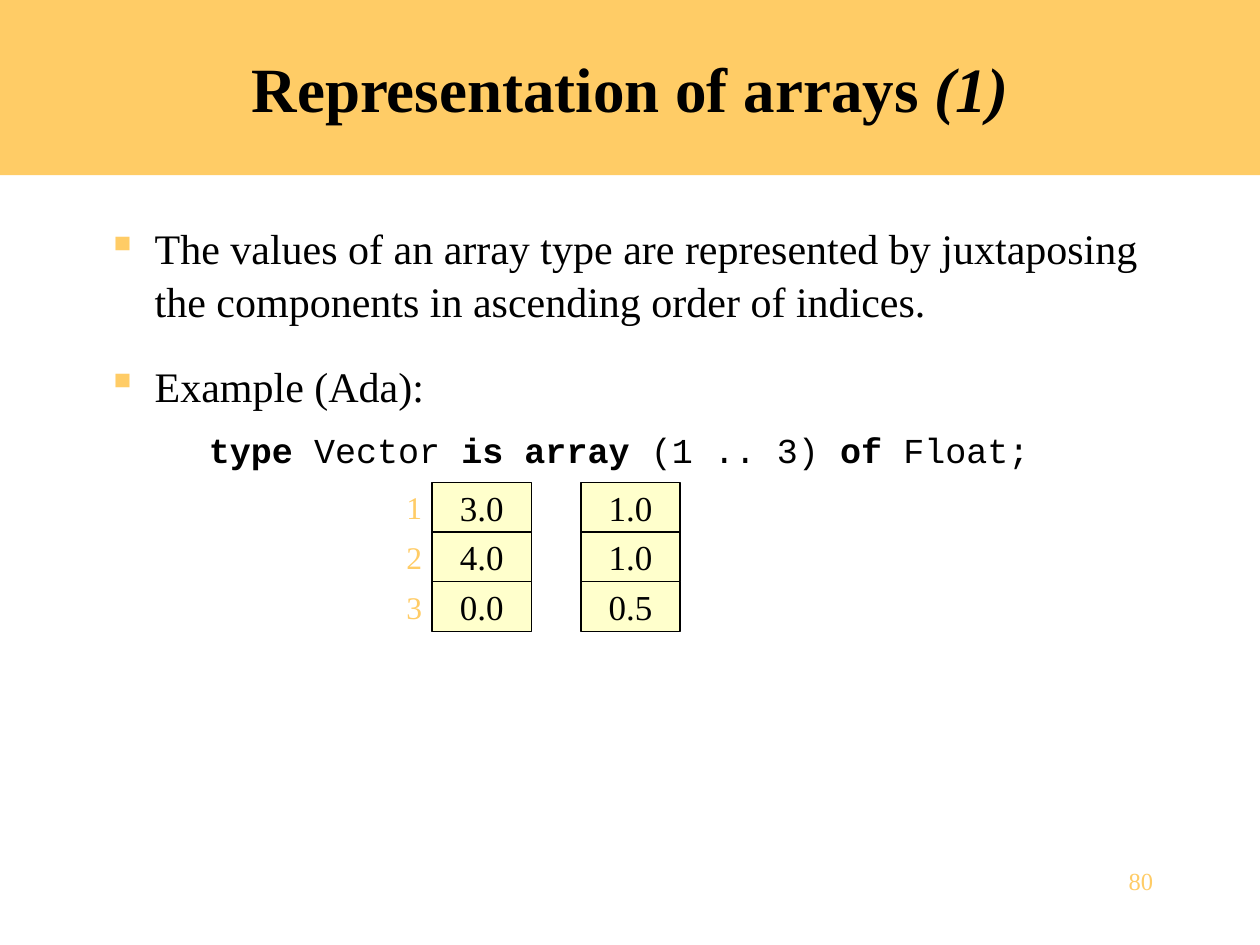
"""Build the slide on how arrays are laid out in memory."""
from lxml.etree import SubElement
from pptx import Presentation
from pptx.dml.color import RGBColor
from pptx.enum.shapes import MSO_SHAPE
from pptx.enum.text import MSO_ANCHOR, PP_ALIGN
from pptx.oxml.ns import qn
from pptx.util import Cm, Inches, Pt

SERIF, MONO = "Times New Roman", "Courier New"
GOLD, CREAM, BLACK = "FFCC66", "FFFFCC", "000000"


def tint(code):
    return RGBColor.from_string(code)


def style(para, size, color=BLACK, align=PP_ALIGN.LEFT, name=SERIF):
    para.alignment = align
    font = para.font
    font.size, font.name = Pt(size), name
    font.color.rgb = tint(color)


deck = Presentation()
deck.slide_width, deck.slide_height = Inches(10), Inches(7.5)
wide, high = deck.slide_width, deck.slide_height
slide = deck.slides.add_slide(deck.slide_layouts[6])
shapes = slide.shapes

band = shapes.add_shape(MSO_SHAPE.RECTANGLE, 0, 0, wide, Inches(1.39))
band.shadow.inherit = False
band.fill.solid()
band.fill.fore_color.rgb = tint(GOLD)
band.line.fill.background()
band.text_frame.vertical_anchor = MSO_ANCHOR.MIDDLE
title = band.text_frame.paragraphs[0]
title.add_run().text = "Representation of arrays "
mark = title.add_run()
mark.text = "(1)"
mark.font.italic = True
style(title, 36, align=PP_ALIGN.CENTER)
title.font.bold = True

edge = int(wide * 0.075)
body = shapes.add_textbox(edge, Inches(1.7), wide - 2 * edge, Inches(5.08)).text_frame
body.word_wrap = True
points = [
    "The values of an array type are represented by juxtaposing "
    "the components in ascending order of indices.",
    "Example (Ada):",
]
for num, text in enumerate(points):
    para = body.add_paragraph() if num else body.paragraphs[0]
    para.text = text
    para.line_spacing = 1.05
    if num:
        para.space_before = Pt(18)
    props = para._p.get_or_add_pPr()
    props.set("marL", str(Inches(0.38)))
    props.set("indent", str(-Inches(0.38)))
    SubElement(SubElement(props, qn("a:buClr")), qn("a:srgbClr"), val=GOLD)
    SubElement(props, qn("a:buChar"), char="▪")
    style(para, 24)

code = body.add_paragraph()
code.line_spacing = 1.05
code.space_before = Pt(9)
code._p.get_or_add_pPr().set("marL", str(Inches(0.81)))
parts = ["type", " Vector ", "is array", " (1 .. 3) ", "of", " Float;"]
for num, text in enumerate(parts):
    run = code.add_run()
    run.text = text
    run.font.bold = num % 2 == 0
style(code, 20, name=MONO)

step = Cm(1)
left, top = Inches(3.43), Inches(3.83)
gap = Inches(0.08)
arrays = [["3.0", "4.0", "0.0"], ["1.0", "1.0", "0.5"]]
for col, items in enumerate(arrays):
    for row, text in enumerate(items):
        cell = shapes.add_shape(
            MSO_SHAPE.RECTANGLE, left + 3 * col * step, top + row * step, 2 * step, step)
        cell.shadow.inherit = False
        cell.fill.solid()
        cell.fill.fore_color.rgb = tint(CREAM)
        cell.line.color.rgb = tint(BLACK)
        cell.line.width = Pt(0.75)
        frame = cell.text_frame
        frame.margin_left = frame.margin_right = frame.margin_top = frame.margin_bottom = 0
        frame.vertical_anchor = MSO_ANCHOR.MIDDLE
        frame.text = text
        style(frame.paragraphs[0], 20, align=PP_ALIGN.CENTER)

span = Inches(0.63)
for row in range(3):
    frame = shapes.add_textbox(left - gap - span, top + row * step, span, step).text_frame
    frame.margin_left = frame.margin_right = frame.margin_top = frame.margin_bottom = 0
    frame.vertical_anchor = MSO_ANCHOR.MIDDLE
    frame.word_wrap = True
    frame.text = str(row + 1)
    style(frame.paragraphs[0], 18, GOLD, PP_ALIGN.RIGHT)

span = Inches(2.08)
page = shapes.add_textbox(wide - edge - span, int(high * 0.91), span, Inches(0.5)).text_frame
page.word_wrap = True
page.text = "80"
style(page.paragraphs[0], 14, GOLD, PP_ALIGN.RIGHT)

deck.save("out.pptx")
